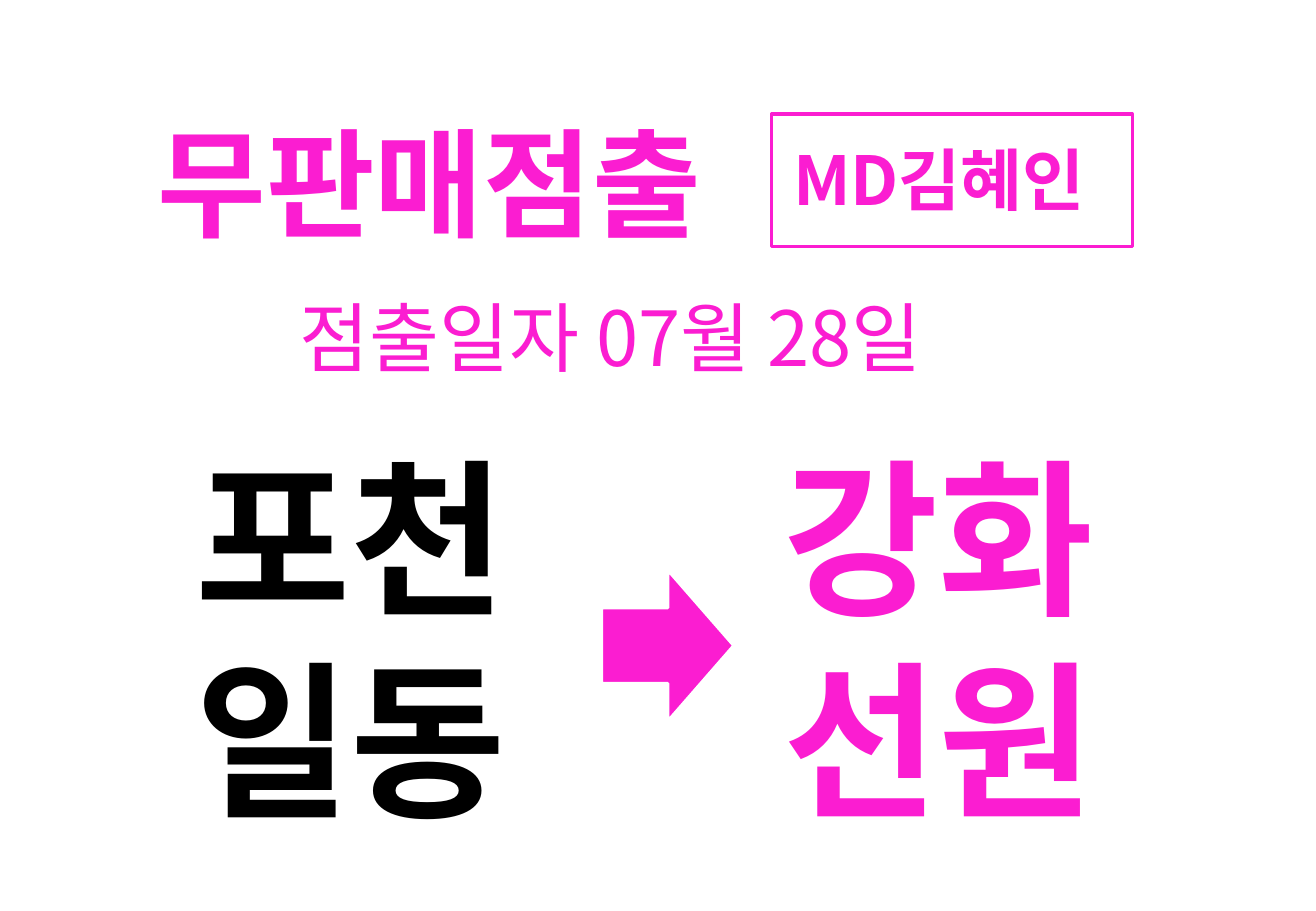
import pptx
import pptx.dml.color
import pptx.enum.shapes
import pptx.enum.text
import pptx.util
from lxml import etree

EMU_PER_PX = 9144  # 100 px to the inch
COLORS = {"pink": "FB1DD1", "black": "000000", "white": "FFFFFF"}
SHAPES = pptx.enum.shapes.MSO_SHAPE


class TransferSign:
    font_name = "Noto Sans CJK KR"

    def __init__(self, width, height):
        self.presentation = pptx.Presentation()
        self.presentation.slide_width = self.px(width)
        self.presentation.slide_height = self.px(height)
        self.slide = self.presentation.slides.add_slide(self.presentation.slide_layouts[6])

    def px(self, length):
        return pptx.util.Emu(length * EMU_PER_PX)

    def color(self, name):
        return pptx.dml.color.RGBColor.from_string(COLORS[name])

    def text(self, box, lines, size, color="pink", bold=True):
        shape = self.slide.shapes.add_textbox(*map(self.px, box))
        frame = shape.text_frame
        frame.word_wrap = True
        frame.auto_size = pptx.enum.text.MSO_AUTO_SIZE.SHAPE_TO_FIT_TEXT
        frame.text = "\n".join(lines)
        for paragraph in frame.paragraphs:
            font = paragraph.font
            font.name = self.font_name
            font.size = pptx.util.Pt(size)
            font.bold = bold
            font.color.rgb = self.color(color)
            # Korean letters take the East Asian font
            for run in paragraph.runs:
                run.font.name = self.font_name
                latin = run.font._element.find(pptx.oxml.ns.qn("a:latin"))
                east_asian = etree.Element(pptx.oxml.ns.qn("a:ea"), typeface=self.font_name)
                latin.addnext(east_asian)

    def shape(self, kind, box, line, fill=None):
        shape = self.slide.shapes.add_shape(kind, *map(self.px, box))
        shape.shadow.inherit = False
        if fill:
            shape.fill.solid()
            shape.fill.fore_color.rgb = self.color(fill)
        else:
            shape.fill.background()
        shape.line.color.rgb = self.color(line)
        shape.line.width = pptx.util.Pt(2)


def main():
    sign = TransferSign(1083, 750)

    # Heading and date
    sign.text((120, 86, 523, 128), ["무판매점출"], 70)
    sign.text((237, 234, 602, 86), ["점출일자 07월 28일"], 45, bold=False)

    # Framed name of the merchandiser
    sign.shape(SHAPES.RECTANGLE, (635, 94, 297, 109), line="pink")
    sign.text((643, 109, 289, 77), ["MD김혜인"], 40)

    # Sending store, arrow, receiving store
    sign.text((151, 352, 352, 347), ["포천", "일동"], 100, color="black")
    sign.shape(SHAPES.RIGHT_ARROW, (495, 469, 109, 125), line="white", fill="pink")
    sign.text((635, 352, 313, 347), ["강화", "선원"], 100)

    sign.presentation.save("out.pptx")


if __name__ == "__main__":
    main()
